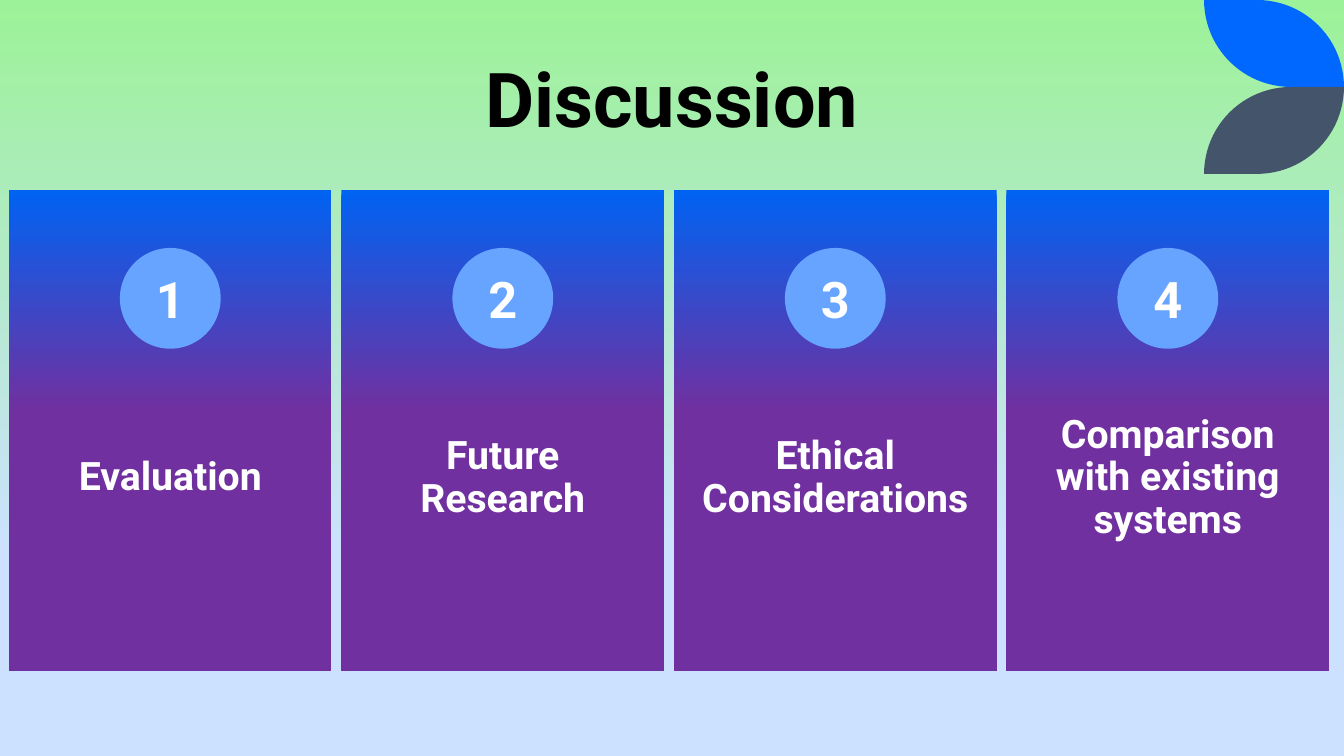
from dataclasses import dataclass
from math import cos, pi, sin
from pptx import Presentation
from pptx.dml.color import RGBColor
from pptx.dml.fill import FillFormat as Fill
from pptx.enum.shapes import MSO_SHAPE as Kind
from pptx.enum.text import MSO_ANCHOR as Anchor, MSO_AUTO_SIZE as Auto, PP_ALIGN as Align
from pptx.shapes.autoshape import Shape
from pptx.shapes.shapetree import GroupShapes as Group
from pptx.util import Inches, Pt

WIDE, HIGH = Inches(13.33), Inches(7.5)
FONT = "Roboto"
WHITE = "FFFFFF"
STEP = 24.74


@dataclass
class Box:
    left: float
    top: float
    width: float
    height: float

    def move(self, dx: float) -> "Box":
        return Box(self.left + dx, self.top, self.width, self.height)

    def emu(self) -> tuple[int, int, int, int]:
        return (int(WIDE * self.left / 100), int(HIGH * self.top / 100),
                int(WIDE * self.width / 100), int(HIGH * self.height / 100))


@dataclass
class Leaf:
    color: str
    base: float
    turn: int


CARD = Box(0.67, 25.07, 24, 63.7)
LABEL = Box(0.67, 50.53, 24, 25.47)
DISC = Box(8.92, 32.8, 7.5, 13.33)
TITLE = Box(34.88, 6, 30.23, 13.73)
TOPICS = ["Evaluation", "Future Research", "Ethical Considerations",
          "Comparison with existing systems"]
LEAVES = [Leaf("0068FF", 0, 1), Leaf("44546A", 23, -1)]


def paint(text: str) -> RGBColor:
    return RGBColor.from_string(text)


def blend(fill: Fill, first: str, last: str, end: float) -> None:
    fill.gradient()
    fill.gradient_angle = 270
    for stop, color, place in zip(fill.gradient_stops, (first, last), (0, end)):
        stop.color.rgb = paint(color)
        stop.position = place


def plain(shape: Shape) -> None:
    shape.shadow.inherit = False
    shape.line.fill.background()


def write(shape: Shape, text: str, size: int, color: str, space: float,
          inset: float, anchor: Anchor) -> None:
    frame = shape.text_frame
    frame.text = text
    frame.word_wrap = True
    frame.auto_size = Auto.NONE
    frame.vertical_anchor = anchor
    frame.margin_left = frame.margin_right = Inches(inset)
    frame.margin_top = frame.margin_bottom = Inches(inset)
    para = frame.paragraphs[0]
    para.alignment = Align.CENTER
    para.line_spacing = space
    font = para.font
    font.name, font.size, font.bold = FONT, Pt(size), True
    font.color.rgb = paint(color)


def draw_leaf(group: Group, leaf: Leaf) -> None:
    unit = HIGH / 100
    size, flat = 11.5, 7
    left = WIDE / unit - size - flat
    turns = [pi / 2 * n / 24 for n in range(25)]
    dots = [(left, 0)]
    dots += [(left + flat + size * sin(a), size - size * cos(a)) for a in turns]
    dots += [(left + size - size * sin(a), size * cos(a)) for a in turns]
    spots = [(x * unit, (leaf.base + leaf.turn * y) * unit) for x, y in dots]
    pen = group.build_freeform(*spots[0])
    pen.add_line_segments(spots[1:], close=True)
    shape = pen.convert_to_shape()
    plain(shape)
    shape.fill.solid()
    shape.fill.fore_color.rgb = paint(leaf.color)


def draw_card(group: Group, index: int, topic: str) -> None:
    shift = index * STEP
    card = group.add_shape(Kind.RECTANGLE, *CARD.move(shift).emu())
    plain(card)
    blend(card.fill, "0063F2", "7030A0", 0.46)
    label = group.add_textbox(*LABEL.move(shift).emu())
    write(label, topic, 28, WHITE, 0.9, 0.22, Anchor.MIDDLE)
    disc = group.add_shape(Kind.OVAL, *DISC.move(shift).emu())
    plain(disc)
    disc.fill.solid()
    disc.fill.fore_color.rgb = paint("66A4FF")
    write(disc, str(index + 1), 36, WHITE, 1, 0, Anchor.MIDDLE)


def main() -> None:
    deck = Presentation()
    deck.slide_width, deck.slide_height = WIDE, HIGH
    slide = deck.slides.add_slide(deck.slide_layouts[5])
    blend(slide.background.fill, "9CF298", "CCE1FF", 0.74)
    title = slide.shapes.title
    title.left, title.top, title.width, title.height = TITLE.emu()
    write(title, "Discussion", 54, "000000", 0.9, 0.05, Anchor.BOTTOM)
    plant = slide.shapes.add_group_shape().shapes
    for leaf in LEAVES:
        draw_leaf(plant, leaf)
    cards = slide.shapes.add_group_shape().shapes
    for index, topic in enumerate(TOPICS):
        draw_card(cards, index, topic)
    deck.save("out.pptx")


if __name__ == "__main__":
    main()
